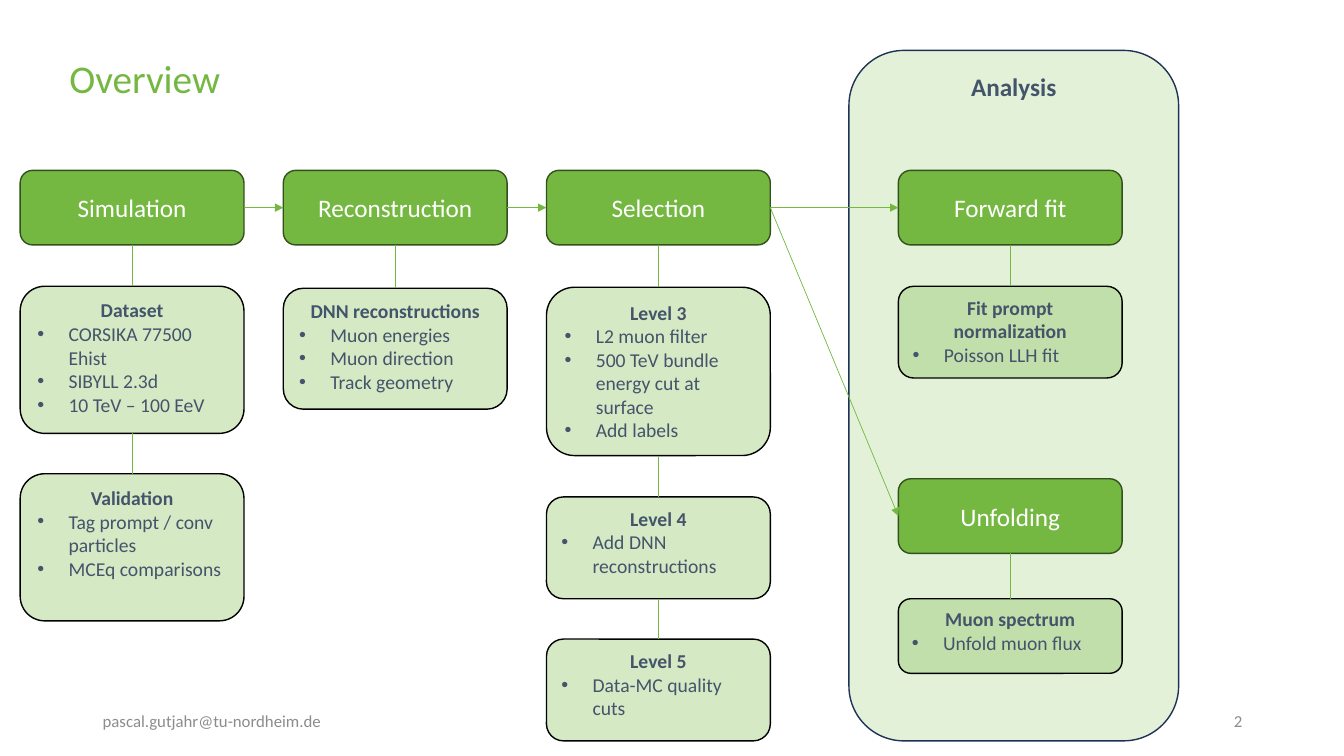
from lxml import etree
from pptx import Presentation
from pptx import util as u
from pptx.dml.color import RGBColor
from pptx.enum import shapes, text
from pptx.oxml.ns import qn

GREEN = RGBColor(0x74, 0xB8, 0x42)
DARK_GREEN = RGBColor(0x33, 0x51, 0x1D)
PALE_GREEN = RGBColor(0xE3, 0xF1, 0xD9)
NAVY = RGBColor(0x1E, 0x32, 0x56)
SLATE = RGBColor(0x44, 0x54, 0x6A)
GREY = RGBColor(0x8C, 0x8C, 0x8C)
BLACK = RGBColor(0, 0, 0)
WHITE = RGBColor(0xFF, 0xFF, 0xFF)

LEFT, COL, BOX_W, STEP_H = 0.2, 2.61, 2.22, 0.74
ANALYSIS_X, STEP_Y, UNFOLD_Y = 8.91, 1.69, 4.75
TOP, LEFT_SIDE, BOTTOM, RIGHT_SIDE = range(4)
CENTER, RIGHT = text.PP_ALIGN.CENTER, text.PP_ALIGN.RIGHT

prs = Presentation()
prs.slide_width, prs.slide_height = u.Inches(13.33), u.Inches(7.5)
s = prs.slides.add_slide(prs.slide_layouts[6])


def add_text(words, at, bullets=(), size=18, color=SLATE, bold=False, align=None,
             anchor=text.MSO_ANCHOR.MIDDLE, fill=None, line=None, alpha=None, spacing=None):
    at = [u.Inches(v) for v in at]
    if fill is None:
        sp = s.shapes.add_textbox(*at)
    else:
        sp = s.shapes.add_shape(shapes.MSO_SHAPE.ROUNDED_RECTANGLE, *at)
        sp.shadow.inherit = False
        sp.fill.solid()
        sp.fill.fore_color.rgb = fill
        sp.line.color.rgb = line
        sp.line.width = u.Pt(1)
    if alpha:
        clr = sp._element.spPr.find(qn("a:solidFill")).find(qn("a:srgbClr"))
        etree.SubElement(clr, qn("a:alpha"), val=str(alpha * 1000))
    tf = sp.text_frame
    tf.word_wrap = True
    tf.vertical_anchor = anchor
    for i, part in enumerate([words, *bullets]):
        p = tf.add_paragraph() if i else tf.paragraphs[0]
        p.alignment = text.PP_ALIGN.LEFT if i else align
        p.line_spacing = spacing
        r = p.add_run()
        r.text = part
        r.font.name, r.font.size = "Calibri", u.Pt(size)
        r.font.color.rgb = color
        r.font.bold = bold and i == 0
        if i:
            pPr = p._p.get_or_add_pPr()
            pPr.set("marL", str(u.Inches(0.31)))
            pPr.set("indent", str(u.Inches(-0.31)))
            etree.SubElement(pPr, qn("a:buFont"), typeface="Arial")
            etree.SubElement(pPr, qn("a:buChar"), char="•")
    return sp


def connect(a, a_site, b, b_site, arrow=False):
    c = s.shapes.add_connector(shapes.MSO_CONNECTOR.STRAIGHT, 0, 0, 0, 0)
    c.begin_connect(a, a_site)
    c.end_connect(b, b_site)
    c.line.color.rgb = GREEN
    c.line.width = u.Pt(0.5)
    if arrow:
        etree.SubElement(c.line._get_or_add_ln(), qn("a:tailEnd"), type="triangle")
    etree.SubElement(c._element.spPr, qn("a:effectLst"))


add_text("Analysis", (8.42, 0.5, 3.27, 6.85), bold=True, align=CENTER,
         anchor=text.MSO_ANCHOR.TOP, fill=PALE_GREEN, line=NAVY)
add_text("Overview", (0.59, 0.4, 12.59, 0.81), size=28, color=GREEN, spacing=0.9)
add_text("pascal.gutjahr@tu-nordheim.de", (0.92, 6.95, 3, 0.4), size=12, color=GREY)
add_text("2", (9.42, 6.95, 3, 0.4), size=12, color=GREY, align=RIGHT)

steps = [
    ("Simulation", LEFT, STEP_Y, [
        (2.84, 1.46, "Dataset", ["CORSIKA 77500 Ehist", "SIBYLL 2.3d", "10 TeV – 100 EeV"]),
        (4.7, 1.46, "Validation", ["Tag prompt / conv particles", "MCEq comparisons"])]),
    ("Reconstruction", LEFT + COL, STEP_Y, [
        (2.86, 1.2, "DNN reconstructions", ["Muon energies", "Muon direction", "Track geometry"])]),
    ("Selection", LEFT + 2 * COL, STEP_Y, [
        (2.85, 1.67, "Level 3",
         ["L2 muon filter", "500 TeV bundle energy cut at surface", "Add labels"]),
        (4.93, 1.01, "Level 4", ["Add DNN reconstructions"]),
        (6.34, 1.01, "Level 5", ["Data-MC quality cuts"])]),
    ("Forward fit", ANALYSIS_X, STEP_Y, [
        (2.84, 0.91, "Fit prompt normalization", ["Poisson LLH fit"])]),
    ("Unfolding", ANALYSIS_X, UNFOLD_Y, [
        (5.94, 0.74, "Muon spectrum", ["Unfold muon flux"])]),
]

boxes = {}
for name, x, y, details in steps:
    above = boxes[name] = add_text(name, (x, y, BOX_W, STEP_H), color=WHITE, align=CENTER,
                                   fill=GREEN, line=DARK_GREEN)
    for top, height, heading, bullets in details:
        sp = add_text(heading, (x, top, BOX_W, height), bullets, size=14, bold=True,
                      align=CENTER, anchor=text.MSO_ANCHOR.TOP, fill=GREEN, line=BLACK, alpha=30)
        connect(above, BOTTOM, sp, TOP)
        above = sp

for a, b in [("Simulation", "Reconstruction"), ("Reconstruction", "Selection"),
             ("Selection", "Forward fit"), ("Selection", "Unfolding")]:
    connect(boxes[a], RIGHT_SIDE, boxes[b], LEFT_SIDE, arrow=True)

prs.save("out.pptx")
